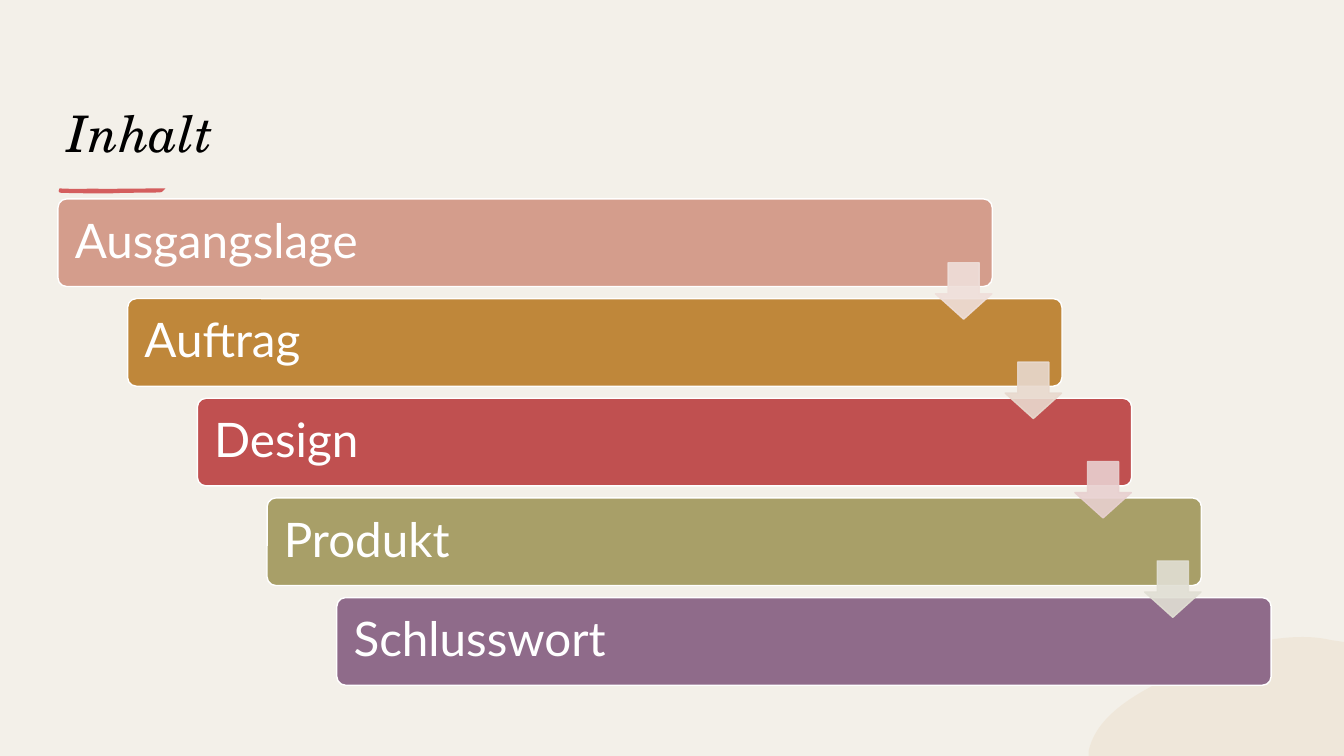
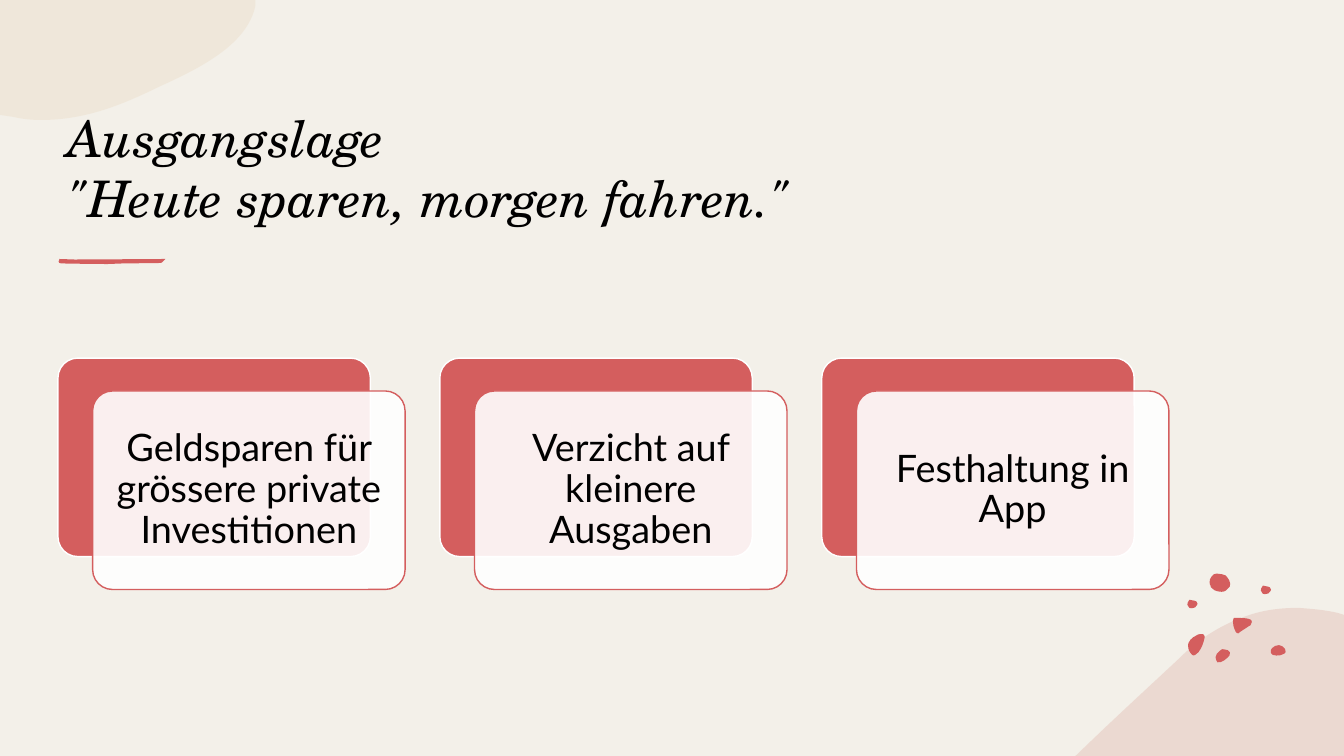
"""Build two slides: a stepped table of contents and three overlapping cards."""
from lxml.etree import SubElement
from pptx import Presentation
from pptx.dml.color import RGBColor
from pptx.enum.shapes import MSO_SHAPE
from pptx.enum.text import MSO_ANCHOR, PP_ALIGN
from pptx.oxml.ns import qn
from pptx.util import Pt

SLIDE_WIDTH, SLIDE_HEIGHT = 960, 540
CREAM, RED, WHITE, BLACK, SAND, ROSE = "F3F0E9", "D45E5E", "FFFFFF", "000000", "E7CFAF", "E5C4BA"
TITLE_FONT, BODY_FONT = "TeX Gyre Schola", "Lato"
LEFT = 41.4

AGENDA_TITLE = "Inhalt"
AGENDA = [
    ("Ausgangslage", "D49D8C", "EFDFDA"),
    ("Auftrag", "BF873A", "E8D9CE"),
    ("Design", "C05050", "E8D0D0"),
    ("Produkt", "A89F68", "E1DFD4"),
    ("Schlusswort", "8F6B8A", None),
]
CARDS_TITLE = 'Ausgangslage\n"Heute sparen, morgen fahren."'
CARDS = [
    "Geldsparen für grössere private Investitionen",
    "Verzicht auf kleinere Ausgaben",
    "Festhaltung in App",
]

BAR_TOP, BAR_WIDTH, BAR_HEIGHT = 142.1, 667.4, 62.6
BAR_STEP_X, BAR_STEP_Y = 49.8, 71.2
ARROW_LEFT, ARROW_TOP, ARROW_STEP_Y, ARROW_SIZE = 668.2, 187.7, 71, 40.3
CARD_TOP, CARD_WIDTH, CARD_HEIGHT, CARD_STEP = 255.8, 223.2, 141.8, 272.8
CARD_SHIFT_X, CARD_SHIFT_Y = 24.8, 23.5

CORNER_BLOB = [
    (0, 0), (182.4, 0), (182.4, 4.3), (176.4, 31.7, 144, 48.2, 113.8, 61.9),
    (88.6, 74.2, 61.9, 85.7, 29.5, 85.7), (22.3, 85.7, 15.8, 85, 9.4, 83.5), (0, 82.1), (0, 0),
]
HILL = [
    (927.4, 434.2), (936.7, 434.9, 946.1, 435.6, 955.4, 437.8), (960, 439.2),
    (960, 540), (768, 540), (769, 539.3), (793.4, 515.5, 818.6, 492.5, 841.7, 470.9),
    (857.5, 455, 873.9, 445.7, 890.6, 439.9), (902.9, 435.6, 915.1, 434.2, 927.4, 434.2),
]
BRUSH_STROKE = [
    (0.7, 0), (12, 0.4), (22, 0.2), (38, 0.3), (54, 0.1), (76.3, 0),
    (74.2, 0.7, 75.6, 3.2, 71.3, 2.9), (46, 3.2), (35, 3.6), (20, 3.5), (2, 3.2),
    (-0.7, 3.2, 0, 0.7, 0.7, 0),
]
SMALL_PEBBLE = [
    (0, 3.6), (0, 3.6, 0, 0.7, 1.4, 0), (2.9, 0, 3.6, 0, 5, 0.7),
    (5.8, 0.7, 7.2, 1.4, 7.2, 2.9), (7.2, 3.6, 6.5, 4.3, 5.8, 5),
    (5.8, 5, 5.8, 5.8, 4.3, 5.8), (3.6, 5.8, 2.2, 6.5, 1.4, 5.8), (0.7, 4.3, 0, 4.3, 0, 3.6),
]
PEBBLES = [
    (868.3, 463.7, [
        (5, 0), (6.5, 0, 7.2, 0, 8.6, 0.7), (10.1, 1.4, 10.8, 2.9, 10.1, 4.3),
        (8.6, 6.5, 4.3, 10.1, 1.4, 9.4), (0.7, 8.6, 0, 7.2, 0, 5.8),
        (0, 4.3, 1.4, 2.2, 2.9, 1.4), (3.6, 0.7, 4.3, 0, 5, 0)]),
    (848.9, 452.9, [
        (8.6, 0), (10.1, 0, 11.5, 0, 11.5, 1.4), (11.5, 2.2, 11.5, 2.2, 11.5, 2.9),
        (10.8, 6.5, 9.4, 10.1, 7.2, 13), (5.8, 14.4, 3.6, 16.6, 2.2, 14.4),
        (0, 12.2, -0.7, 8.6, 0, 6.5), (0.7, 4.3, 2.2, 3.6, 3.6, 2.2),
        (4.3, 2.2, 6.5, 0, 8.6, 0)]),
    (907.9, 460.8, [
        (5.8, 0), (7.2, 0, 9.4, 1.4, 10.1, 2.9), (10.8, 4.3, 10.8, 5.8, 8.6, 6.5),
        (6.5, 7.9, 0.7, 7.9, 0, 5.8), (-0.7, 4.3, 0, 2.9, 0.7, 2.2),
        (2.2, 0.7, 3.6, 0, 5.8, 0)]),
    (864, 409.7, [
        (0.7, 8.6), (0, 8.6, -0.7, 4.3, 1.4, 2.2), (2.9, 0.7, 2.9, 0, 5, 0),
        (7.2, 0, 10.1, 0.7, 11.5, 1.4), (13, 2.9, 15.8, 6.5, 14.4, 9.4),
        (12.2, 11.5, 11.5, 13, 8.6, 13), (6.5, 13, 2.9, 12.2, 2.2, 10.8),
        (0.7, 10.1, 0.7, 9.4, 0.7, 8.6)]),
    (900.7, 418.3, SMALL_PEBBLE),
    (848.2, 428.4, SMALL_PEBBLE),
    (880.6, 441.4, [
        (3.6, 0), (7.9, 0, 15.8, 0, 13, 4.3), (13, 5, 12.2, 5.8, 11.5, 5.8),
        (9.4, 7.2, 7.2, 8.6, 5, 10.1), (4.3, 10.8, 3.6, 11.5, 2.9, 10.8),
        (2.9, 10.8, 2.2, 10.1, 2.2, 10.1), (0.7, 7.2, 0, 5, 0, 2.2),
        (0, 1.4, 0, 0.7, 0.7, 0), (3.6, 0)]),
]


def color(hex_code):
    return RGBColor.from_string(hex_code)


def fade(parent, opacity):
    for tone in parent.iter(qn("a:srgbClr")):
        SubElement(tone, qn("a:alpha"), val=str(opacity * 1000))


def paint(shape, fill, opacity=100, line=None, line_opacity=100):
    shape.shadow.inherit = False
    shape.fill.solid()
    shape.fill.fore_color.rgb = color(fill)
    properties = shape.element.spPr
    if opacity < 100:
        fade(properties.find(qn("a:solidFill")), opacity)
    if line is None:
        shape.line.fill.background()
        return
    shape.line.color.rgb = color(line)
    shape.line.width = Pt(1)
    if line_opacity < 100:
        fade(properties.find(qn("a:ln")), line_opacity)


def add_outline(slide, outline, fill, opacity=100, left=0, top=0, turn=1):
    segments = [[(Pt(left + turn * x), Pt(top + turn * y))
                 for x, y in zip(segment[::2], segment[1::2])] for segment in outline]
    ends = [segment[-1] for segment in segments]
    builder = slide.shapes.build_freeform(*ends[0], scale=1.0)
    builder.add_line_segments(ends[1:], close=False)
    shape = builder.convert_to_shape()
    edges = list(shape.element.iter(qn("a:lnTo")))
    for edge, segment in zip(edges, segments[1:]):
        if len(segment) == 1:
            continue
        curve = edge.makeelement(qn("a:cubicBezTo"))
        for x, y in segment:
            SubElement(curve, qn("a:pt"), x=str(x - shape.left), y=str(y - shape.top))
        edge.getparent().replace(edge, curve)
    SubElement(next(shape.element.iter(qn("a:path"))), qn("a:close"))
    paint(shape, fill, opacity)


def add_preset(slide, preset, left, top, width, height, adjustments):
    shape = slide.shapes.add_shape(preset, Pt(left), Pt(top), Pt(width), Pt(height))
    for index, value in enumerate(adjustments):
        shape.adjustments[index] = value
    return shape


def write(shape, text, font, size, ink, anchor, align=PP_ALIGN.LEFT, inset=None, italic=None,
          spacing=None):
    frame = shape.text_frame
    frame.word_wrap = True
    frame.vertical_anchor = anchor
    if inset is not None:
        frame.margin_left = frame.margin_right = Pt(inset)
        frame.margin_top = frame.margin_bottom = Pt(inset)
    paragraph = frame.paragraphs[0]
    paragraph.text = text
    paragraph.alignment = align
    paragraph.line_spacing = spacing
    for run in paragraph.runs:
        run.font.name = font
        run.font.size = Pt(size)
        run.font.italic = italic
        run.font.color.rgb = color(ink)


def add_slide(deck):
    slide = deck.slides.add_slide(deck.slide_layouts[6])
    slide.background.fill.solid()
    slide.background.fill.fore_color.rgb = color(CREAM)
    return slide


def add_title(slide, text, top, height, stroke_top):
    title = slide.shapes.add_textbox(Pt(LEFT), Pt(top), Pt(793.4), Pt(height))
    write(title, text, TITLE_FONT, 36, BLACK, MSO_ANCHOR.BOTTOM, italic=True)
    add_outline(slide, BRUSH_STROKE, RED, left=41.8, top=stroke_top)


def build_agenda(deck):
    slide = add_slide(deck)
    add_title(slide, AGENDA_TITLE, 54.7, 64.8, 134.6)
    add_outline(slide, CORNER_BLOB, SAND, 25, SLIDE_WIDTH, SLIDE_HEIGHT + 0.7, turn=-1)
    for i, (topic, bar_fill, _) in enumerate(AGENDA):
        bar = add_preset(slide, MSO_SHAPE.ROUNDED_RECTANGLE, LEFT + i * BAR_STEP_X,
                         BAR_TOP + i * BAR_STEP_Y, BAR_WIDTH, BAR_HEIGHT, [0.1])
        paint(bar, bar_fill, line=WHITE)
        write(bar, topic, BODY_FONT, 34, WHITE, MSO_ANCHOR.MIDDLE, inset=10.2, spacing=0.9)
    for i, (_, _, arrow_fill) in enumerate(AGENDA[:-1]):
        arrow = add_preset(slide, MSO_SHAPE.DOWN_ARROW, ARROW_LEFT + i * BAR_STEP_X,
                           ARROW_TOP + i * ARROW_STEP_Y, ARROW_SIZE, ARROW_SIZE, [0.55, 0.45])
        paint(arrow, arrow_fill, 90, arrow_fill, 90)


def build_cards(deck):
    slide = add_slide(deck)
    add_outline(slide, CORNER_BLOB, SAND, 25)
    add_title(slide, CARDS_TITLE, 61.9, 104.4, 185)
    add_outline(slide, HILL, ROSE, 50)
    for left, top, outline in PEBBLES:
        add_outline(slide, outline, RED, left=left, top=top)
    for i, statement in enumerate(CARDS):
        left = LEFT + i * CARD_STEP
        backing = add_preset(slide, MSO_SHAPE.ROUNDED_RECTANGLE, left, CARD_TOP,
                             CARD_WIDTH, CARD_HEIGHT, [0.1])
        paint(backing, RED, line=WHITE)
        card = add_preset(slide, MSO_SHAPE.ROUNDED_RECTANGLE, left + CARD_SHIFT_X,
                          CARD_TOP + CARD_SHIFT_Y, CARD_WIDTH, CARD_HEIGHT, [0.1])
        paint(card, WHITE, 90, RED)
        write(card, statement, BODY_FONT, 27, BLACK, MSO_ANCHOR.MIDDLE,
              PP_ALIGN.CENTER, inset=8, spacing=0.9)


def main():
    deck = Presentation()
    deck.slide_width, deck.slide_height = Pt(SLIDE_WIDTH), Pt(SLIDE_HEIGHT)
    build_agenda(deck)
    build_cards(deck)
    deck.save("out.pptx")


if __name__ == "__main__":
    main()
